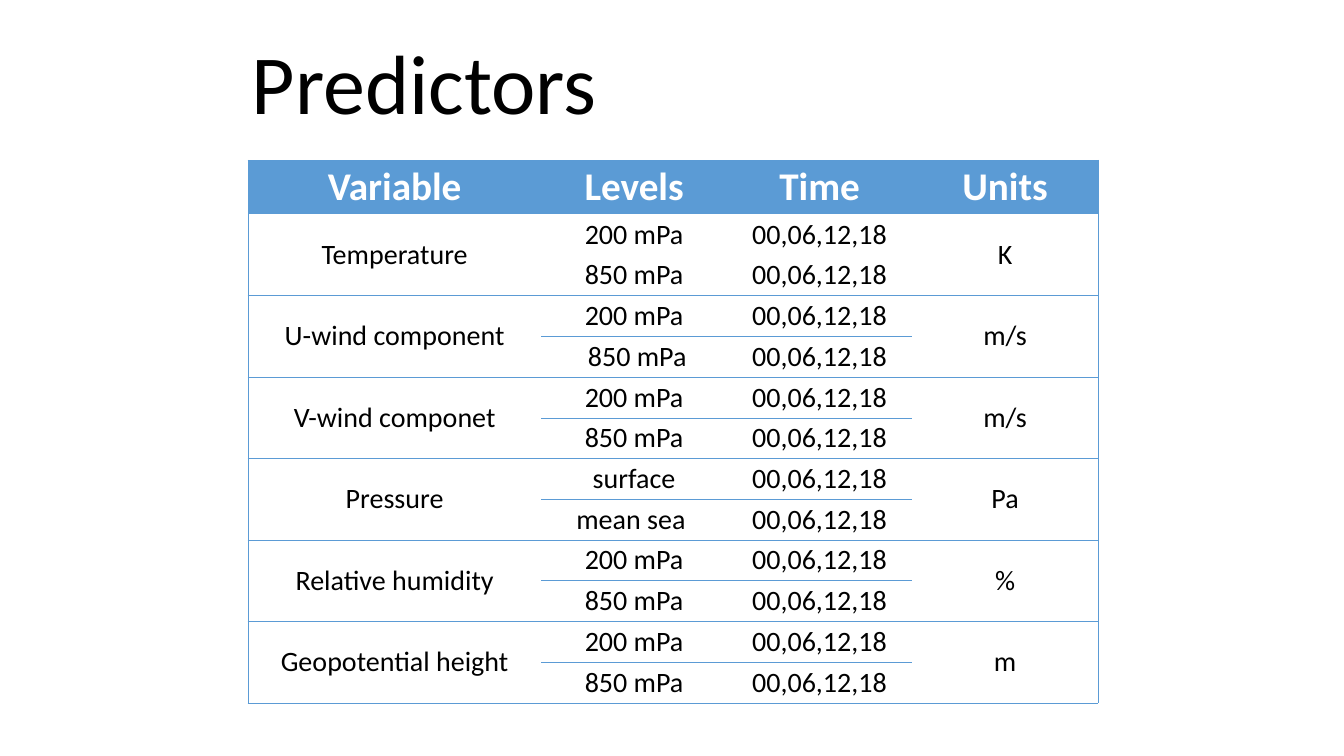
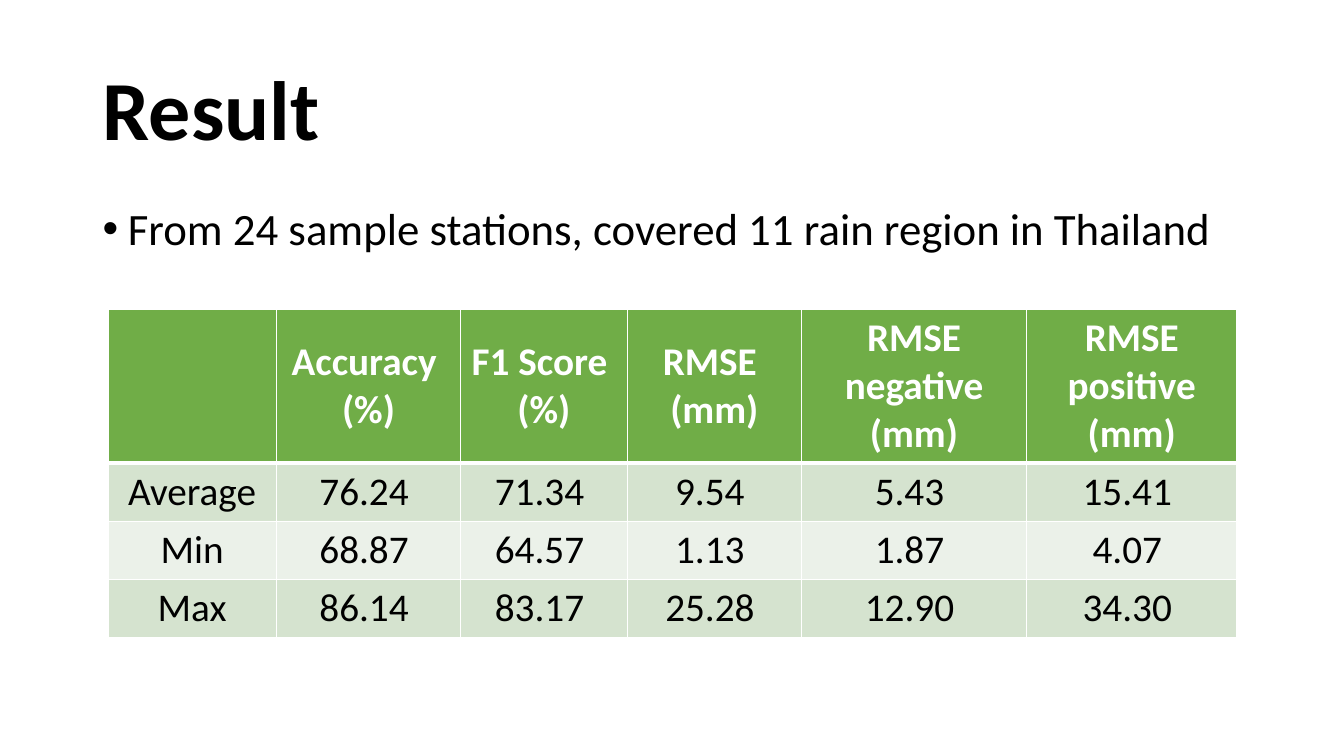
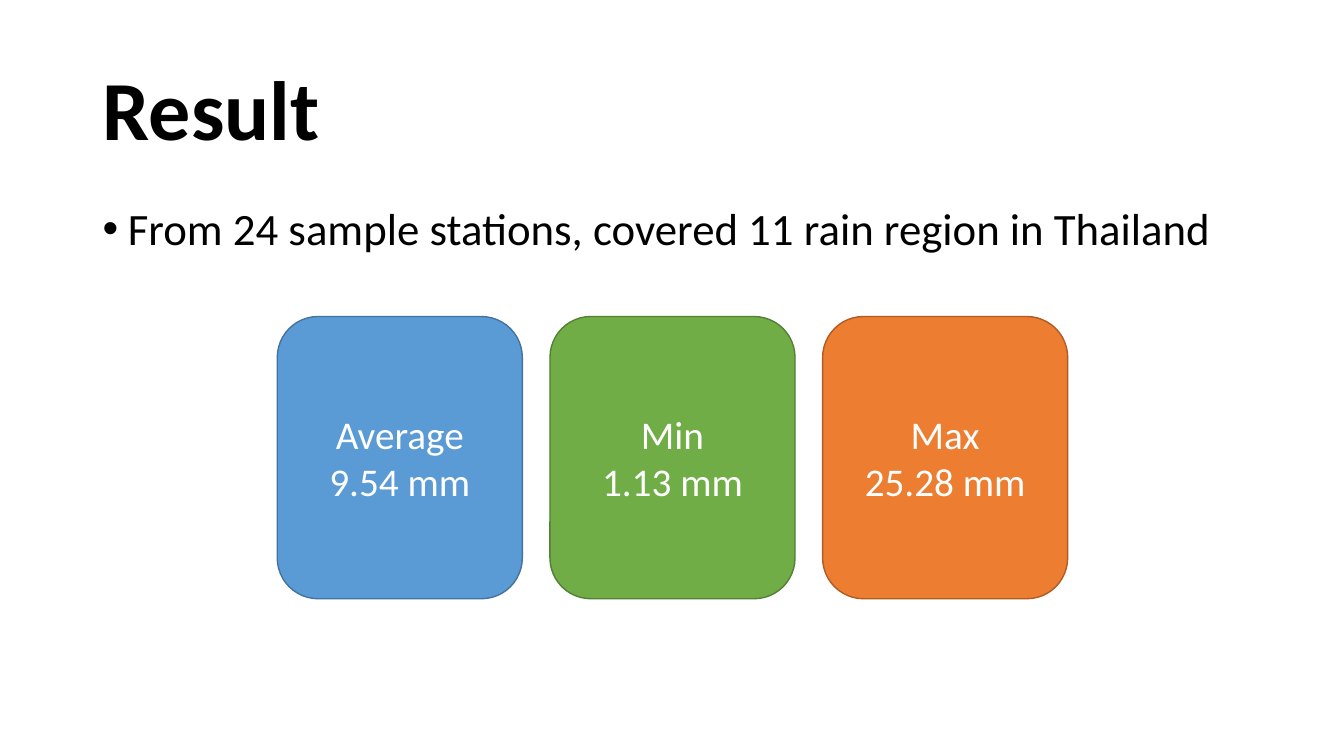
from lxml import etree
from pptx import Presentation
from pptx.dml.color import RGBColor
from pptx.enum.shapes import MSO_SHAPE
from pptx.enum.text import MSO_ANCHOR, MSO_AUTO_SIZE, PP_ALIGN
from pptx.oxml.ns import qn
from pptx.util import Inches, Pt

ROUNDED = MSO_SHAPE.ROUNDED_RECTANGLE
MIDDLE, TOP = MSO_ANCHOR.MIDDLE, MSO_ANCHOR.TOP
CENTER, LEFT = PP_ALIGN.CENTER, PP_ALIGN.LEFT
NO_AUTOFIT = MSO_AUTO_SIZE.NONE

SLIDE_WIDTH, SLIDE_HEIGHT = Inches(13.33), Inches(7.5)
TITLE_ONLY = 5
PLAIN_TABLE_STYLE = "{2D5ABB26-0587-4C30-8999-92F81FD0307C}"

COLORS = {
    "text": "000000", "white": "FFFFFF",
    "blue": "5B9BD5", "green": "70AD47", "orange": "ED7D31",
    "blue_edge": "43739E", "green_edge": "538035", "orange_edge": "AF5C24",
    "band_dark": "D5E3CF", "band_light": "EBF1E9",
}

FORMATS = {
    "title": {"size": Pt(60), "bold": False, "color": "text"},
    "bold_title": {"size": Pt(60), "bold": True, "color": "text"},
    "bullet": {"size": Pt(32), "bold": False, "color": "text"},
    "header": {"size": Pt(28), "bold": True, "color": "white"},
    "score": {"size": Pt(28), "bold": False, "color": "text"},
    "predictor": {"size": Pt(20), "bold": False, "color": "text"},
    "card": {"size": Pt(28), "bold": False, "color": "white"},
}

BOXES = {
    "predictor_title": (18, 1.73, 64.07, 19.6),
    "predictor_table": (18.45, 21.2, 63.24, 71.73),
    "result_title": (6.9, 5.33, 86.27, 19.33),
    "result_bullet": (6.9, 26.67, 86.27, 10),
    "result_table": (8.03, 40.93, 84.02, 43.27),
    "result_cards": (20.63, 41.87, 58.81, 37.33),
}

PREDICTOR_HEADERS = ["Variable", "Levels", "Time", "Units"]
TIMES = "00,06,12,18"
PREDICTORS = [
    ("Temperature", ("200 mPa", "850 mPa"), "K"),
    ("U-wind component", ("200 mPa", " 850 mPa"), "m/s"),
    ("V-wind componet", ("200 mPa", "850 mPa"), "m/s"),
    ("Pressure", ("surface", "mean sea "), "Pa"),
    ("Relative humidity", ("200 mPa", "850 mPa"), "%"),
    ("Geopotential height", ("200 mPa", "850 mPa"), "m"),
]

SUMMARY = "From 24 sample stations, covered 11 rain region in Thailand"
SCORE_HEADERS = ["", "Accuracy \n(%)", "F1 Score \n(%)", "RMSE \n(mm)",
                 "RMSE negative (mm)", "RMSE positive (mm)"]
SCORES = [
    ["Average", "76.24 ", "71.34 ", "9.54 ", "5.43 ", "15.41 "],
    ["Min", "68.87 ", "64.57 ", "1.13 ", "1.87 ", "4.07 "],
    ["Max", "86.14 ", "83.17 ", "25.28 ", "12.90 ", "34.30 "],
]
CARDS = [("Average\n9.54 mm", "blue"), ("Min\n1.13 mm", "green"),
         ("Max\n25.28 mm", "orange")]


def rgb(color):
    return RGBColor.from_string(COLORS[color])


def place(name):
    left, top, width, height = BOXES[name]
    return (int(SLIDE_WIDTH * left / 100), int(SLIDE_HEIGHT * top / 100),
            int(SLIDE_WIDTH * width / 100), int(SLIDE_HEIGHT * height / 100))


def write_text(text_frame, text, format_name, alignment=CENTER, line_spacing=None):
    text_frame.text = text
    values = {"name": "Calibri", **FORMATS[format_name]}
    color = values.pop("color")
    for paragraph in text_frame.paragraphs:
        paragraph.alignment = alignment
        paragraph.line_spacing = line_spacing
        for run in paragraph.runs:
            for attribute, value in values.items():
                setattr(run.font, attribute, value)
            run.font.color.rgb = rgb(color)


def set_frame(text_frame, anchor):
    values = {"word_wrap": True, "auto_size": NO_AUTOFIT, "vertical_anchor": anchor}
    for attribute, value in values.items():
        setattr(text_frame, attribute, value)


def add_titled_slide(presentation, text, box_name, format_name):
    slide = presentation.slides.add_slide(presentation.slide_layouts[TITLE_ONLY])
    title = slide.shapes.title
    title.left, title.top, title.width, title.height = place(box_name)
    set_frame(title.text_frame, MIDDLE)
    write_text(title.text_frame, text, format_name, LEFT, 0.9)
    return slide


def add_bullet(slide, text, box_name):
    text_frame = slide.shapes.add_textbox(*place(box_name)).text_frame
    set_frame(text_frame, TOP)
    write_text(text_frame, text, "bullet", LEFT, 0.9)
    paragraph = text_frame.paragraphs[0]
    paragraph.space_before = Pt(10)
    properties = paragraph._p.get_or_add_pPr()
    properties.set("marL", str(Inches(0.25)))
    properties.set("indent", str(-Inches(0.25)))
    etree.SubElement(properties, qn("a:buFont"), typeface="Arial")
    etree.SubElement(properties, qn("a:buChar"), char="•")


def add_grid(slide, box_name, column_shares, row_shares):
    left, top, width, height = place(box_name)
    frame = slide.shapes.add_table(len(row_shares), len(column_shares),
                                   left, top, width, height)
    table = frame.table
    table._tbl.tblPr.find(qn("a:tableStyleId")).text = PLAIN_TABLE_STYLE
    table.horz_banding = False
    for column, share in zip(table.columns, column_shares):
        column.width = int(width * share / sum(column_shares))
    for row, share in zip(table.rows, row_shares):
        row.height = int(height * share / sum(row_shares))
    return table


def set_borders(cell, color, widths):
    properties = cell._tc.get_or_add_tcPr()
    for side in "LRTB":
        if side in widths:
            line = etree.SubElement(properties, qn("a:ln" + side),
                                    w=str(Pt(widths[side])))
            fill = etree.SubElement(line, qn("a:solidFill"))
            etree.SubElement(fill, qn("a:srgbClr"), val=COLORS[color])


def fill_cell(cell, text, format_name, fill):
    cell.vertical_anchor = MIDDLE
    write_text(cell.text_frame, text, format_name)
    if fill:
        cell.fill.solid()
        cell.fill.fore_color.rgb = rgb(fill)
    else:
        cell.fill.background()


def predictor_borders(row, column):
    sides = ""
    if column == 0:
        sides += "L"
    if column == len(PREDICTOR_HEADERS) - 1:
        sides += "R"
    if row == 0:
        sides += "T"
    outer_column = column in (0, len(PREDICTOR_HEADERS) - 1)
    if row > 0 and (row % 2 == 0 or (outer_column or row > 1)):
        sides += "B"
    return {side: 0.5 for side in sides}


def add_predictor_table(slide, box_name):
    rows = [PREDICTOR_HEADERS]
    for variable, (upper, lower), unit in PREDICTORS:
        rows += [[variable, upper, TIMES, unit], ["", lower, TIMES, ""]]
    table = add_grid(slide, box_name, [2.91, 1.84, 1.84, 1.84],
                     [1.31] + [1] * (len(rows) - 1))
    for row, texts in enumerate(rows):
        for column, text in enumerate(texts):
            cell = table.cell(row, column)
            for side in ("left", "right", "top", "bottom"):
                setattr(cell, "margin_" + side, Inches(0.03))
            set_borders(cell, "blue", predictor_borders(row, column))
            fill_cell(cell, text, "predictor" if row else "header",
                      None if row else "blue")
    for row in range(1, len(rows), 2):
        for column in (0, len(PREDICTOR_HEADERS) - 1):
            table.cell(row, column).merge(table.cell(row + 1, column))


def add_score_table(slide, box_name):
    rows = [SCORE_HEADERS] + SCORES
    table = add_grid(slide, box_name, [1.67, 1.83, 1.65, 1.73, 2.23, 2.09],
                     [2.65] + [1] * len(SCORES))
    for row, texts in enumerate(rows):
        band = ("band_light", "band_dark")[row % 2] if row else "green"
        for column, text in enumerate(texts):
            cell = table.cell(row, column)
            set_borders(cell, "white", {"L": 1, "R": 1, "T": 3 if row == 1 else 1,
                                        "B": 1 if row else 3})
            fill_cell(cell, text, "score" if row else "header", band)


def add_cards(slide, box_name):
    left, top, width, height = place(box_name)
    card_width = int(width * 0.31)
    pitch = (width - card_width) / (len(CARDS) - 1)
    for index, (text, color) in enumerate(CARDS):
        card = slide.shapes.add_shape(ROUNDED, int(left + index * pitch), top,
                                      card_width, height)
        card.shadow.inherit = False
        card.fill.solid()
        card.fill.fore_color.rgb = rgb(color)
        card.line.color.rgb = rgb(color + "_edge")
        card.line.width = Pt(1)
        set_frame(card.text_frame, MIDDLE)
        write_text(card.text_frame, text, "card")


def add_predictor_slide(presentation):
    slide = add_titled_slide(presentation, "Predictors", "predictor_title", "title")
    add_predictor_table(slide, "predictor_table")


def add_result_slide(presentation, add_region, box_name):
    slide = add_titled_slide(presentation, "Result", "result_title", "bold_title")
    add_bullet(slide, SUMMARY, "result_bullet")
    add_region(slide, box_name)


def main():
    presentation = Presentation()
    presentation.slide_width, presentation.slide_height = SLIDE_WIDTH, SLIDE_HEIGHT
    add_predictor_slide(presentation)
    add_result_slide(presentation, add_score_table, "result_table")
    add_result_slide(presentation, add_cards, "result_cards")
    presentation.save("out.pptx")


if __name__ == "__main__":
    main()
